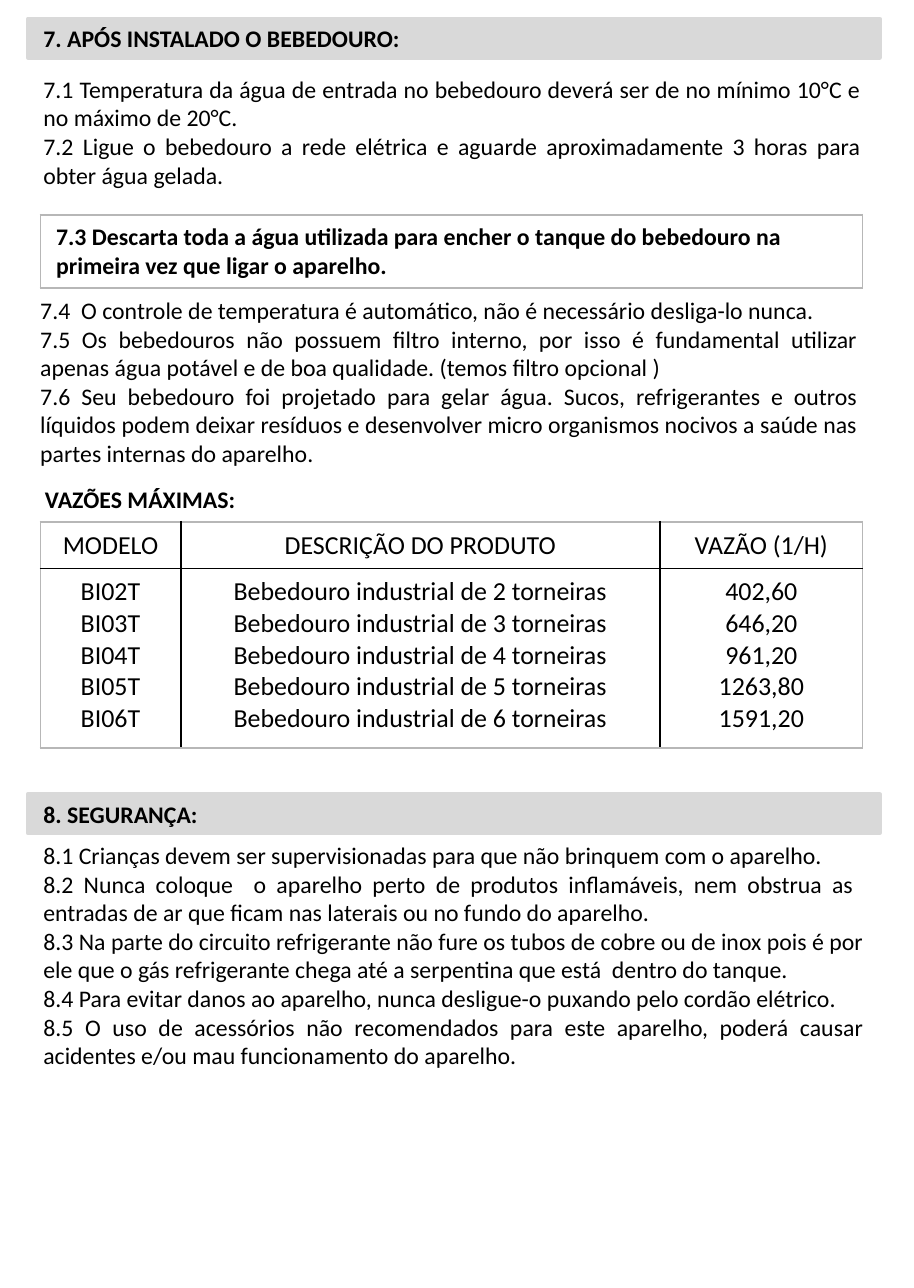
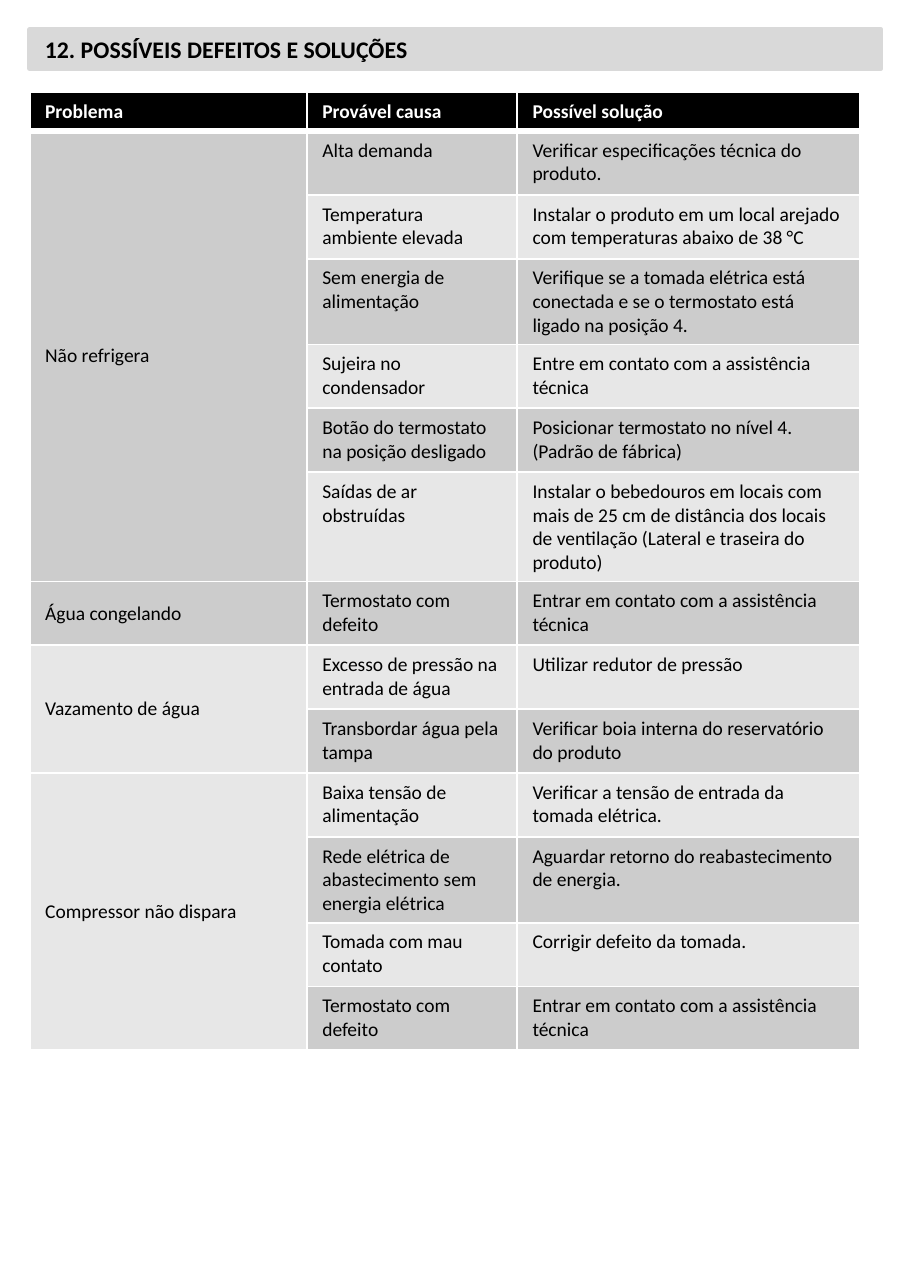
from lxml import etree
from pptx import Presentation
from pptx.dml.color import RGBColor
from pptx.enum.shapes import MSO_SHAPE
from pptx.enum.text import MSO_ANCHOR, PP_ALIGN
from pptx.oxml.ns import qn
from pptx.util import Inches, Pt

RECT = MSO_SHAPE.RECTANGLE
TOP, MIDDLE = MSO_ANCHOR.TOP, MSO_ANCHOR.MIDDLE
LEFT, CENTER, FULL = PP_ALIGN.LEFT, PP_ALIGN.CENTER, PP_ALIGN.JUSTIFY

FONT = "Calibri"
COLORS = {
    "band": "D9D9D9",
    "ink": "000000",
    "white": "FFFFFF",
    "frame": "B7B7B7",
    "dark": "CCCCCC",
    "light": "E7E7E7",
}

BANDS = [
    [
        ("7. APÓS INSTALADO O BEBEDOURO:", 0.18, 0.12),
        ("8. SEGURANÇA:", 0.18, 5.1),
    ],
    [("12. POSSÍVEIS DEFEITOS E SOLUÇÕES", 0.19, 0.19)],
]

START = [
    "7.1 Temperatura da água de entrada no bebedouro deverá ser de no mínimo 10°C e no máximo de 20°C.",
    "7.2 Ligue o bebedouro a rede elétrica e aguarde aproximadamente 3 horas para obter água gelada.",
]
NOTICE = "7.3 Descarta toda a água utilizada para encher o tanque do bebedouro na primeira vez que ligar o aparelho."
USAGE = [
    "7.4  O controle de temperatura é automático, não é necessário desliga-lo nunca.",
    "7.5 Os bebedouros não possuem filtro interno, por isso é fundamental utilizar apenas água potável e de boa qualidade. (temos filtro opcional )",
    "7.6 Seu bebedouro foi projetado para gelar água. Sucos, refrigerantes e outros líquidos podem deixar resíduos e desenvolver micro organismos nocivos a saúde nas partes internas do aparelho.",
]
SAFETY = [
    "8.1 Crianças devem ser supervisionadas para que não brinquem com o aparelho.",
    "8.2 Nunca coloque  o aparelho perto de produtos inflamáveis, nem obstrua as  entradas de ar que ficam nas laterais ou no fundo do aparelho.",
    "8.3 Na parte do circuito refrigerante não fure os tubos de cobre ou de inox pois é por ele que o gás refrigerante chega até a serpentina que está  dentro do tanque.",
    "8.4 Para evitar danos ao aparelho, nunca desligue-o puxando pelo cordão elétrico.",
    "8.5 O uso de acessórios não recomendados para este aparelho, poderá causar acidentes e/ou mau funcionamento do aparelho.",
]
PROSE = [
    (START, 0.18, 0.43, 5.45, 0.84),
    (USAGE, 0.16, 1.85, 5.45, 1.2),
    (SAFETY, 0.18, 5.35, 5.47, 1.58),
]

FLOW_TITLE = "VAZÕES MÁXIMAS:"
FLOW_HEAD = ["MODELO", "DESCRIÇÃO DO PRODUTO", "VAZÃO (1/H)"]
FLOWS = {2: "402,60", 3: "646,20", 4: "961,20", 5: "1263,80", 6: "1591,20"}

FAULT_HEAD = ["Problema", "Provável causa", "Possível solução"]
FAULTS = {
    "Não refrigera": [
        ("Alta demanda", "Verificar especificações técnica do produto."),
        ("Temperatura ambiente elevada", "Instalar o produto em um local arejado com temperaturas abaixo de 38 °C"),
        ("Sem energia de alimentação", "Verifique se a tomada elétrica está conectada e se o termostato está ligado na posição 4."),
        ("Sujeira no condensador", "Entre em contato com a assistência técnica"),
        ("Botão do termostato na posição desligado", "Posicionar termostato no nível 4. (Padrão de fábrica)"),
        ("Saídas de ar obstruídas", "Instalar o bebedouros em locais com mais de 25 cm de distância dos locais de ventilação (Lateral e traseira do produto)"),
    ],
    "Água congelando": [
        ("Termostato com defeito", "Entrar em contato com a assistência técnica"),
    ],
    "Vazamento de água": [
        ("Excesso de pressão na entrada de água", "Utilizar redutor de pressão"),
        ("Transbordar água pela tampa", "Verificar boia interna do reservatório do produto"),
    ],
    "Compressor não dispara": [
        ("Baixa tensão de alimentação", "Verificar a tensão de entrada da tomada elétrica."),
        ("Rede elétrica de abastecimento sem energia elétrica", "Aguardar retorno do reabastecimento de energia."),
        ("Tomada com mau contato", "Corrigir defeito da tomada."),
        ("Termostato com defeito", "Entrar em contato com a assistência técnica"),
    ],
}


def tint(name):
    return RGBColor.from_string(COLORS[name])


def write(frame, text, size=11, color="ink", bold=False, align=LEFT, anchor=TOP):
    frame.word_wrap = True
    frame.vertical_anchor = anchor
    lines = [text] if isinstance(text, str) else text
    for i, line in enumerate(lines):
        para = frame.add_paragraph() if i else frame.paragraphs[0]
        para.alignment = align
        run = para.add_run()
        run.text = line
        run.font.name = FONT
        run.font.size = Pt(size)
        run.font.bold = bold
        run.font.color.rgb = tint(color)


def add_text(slide, text, x, y, w, h, **style):
    box = slide.shapes.add_textbox(Inches(x), Inches(y), Inches(w), Inches(h))
    write(box.text_frame, text, **style)


def add_band(slide, text, x, y):
    band = slide.shapes.add_shape(RECT, Inches(x), Inches(y), Inches(5.47), Inches(0.25))
    band.shadow.inherit = False
    band.fill.solid()
    band.fill.fore_color.rgb = tint("band")
    band.line.color.rgb = tint("band")
    band.line.width = Pt(2)
    write(band.text_frame, text, bold=True, anchor=MIDDLE)


def add_grid(slide, x, y, cols, rows):
    size = Inches(sum(cols)), Inches(sum(rows))
    grid = slide.shapes.add_table(len(rows), len(cols), Inches(x), Inches(y), *size).table
    grid.first_row = grid.horz_banding = False
    for col, width in zip(grid.columns, cols):
        col.width = Inches(width)
    for row, height in zip(grid.rows, rows):
        row.height = Inches(height)
    return grid


def set_edge(cell, side, color, width=1):
    props = cell._tc.get_or_add_tcPr()
    line = etree.SubElement(props, qn("a:ln" + side), w=str(Pt(width)))
    fill = etree.SubElement(line, qn("a:solidFill"))
    etree.SubElement(fill, qn("a:srgbClr"), val=COLORS[color])


def rule_grid(grid, outer, inner, head=1):
    last_row, last_col = len(grid.rows) - 1, len(grid.columns) - 1
    for r in range(last_row + 1):
        for c in range(last_col + 1):
            cell = grid.cell(r, c)
            ends = {"L": c == 0, "R": c == last_col, "T": r == 0, "B": r == last_row}
            for side, end in ends.items():
                below = (r, side) in [(0, "B"), (1, "T")]
                set_edge(cell, side, outer if end else inner, head if below else 1)


def paint(cell, color):
    cell.fill.solid()
    cell.fill.fore_color.rgb = tint(color)


def add_notice(slide):
    grid = add_grid(slide, 0.26, 1.38, [5.28], [0.47])
    rule_grid(grid, "frame", "ink")
    grid.cell(0, 0).fill.background()
    write(grid.cell(0, 0).text_frame, NOTICE, bold=True)


def add_flows(slide):
    add_text(slide, FLOW_TITLE, 0.19, 3.06, 5.39, 0.29, bold=True)
    grid = add_grid(slide, 0.26, 3.35, [0.9, 3.08, 1.3], [0.3, 1.15])
    rule_grid(grid, "frame", "ink")
    body = [
        [f"BI0{n}T" for n in FLOWS],
        [f"Bebedouro industrial de {n} torneiras" for n in FLOWS],
        list(FLOWS.values()),
    ]
    for r, row in enumerate([FLOW_HEAD, body]):
        for c, text in enumerate(row):
            cell = grid.cell(r, c)
            cell.fill.background()
            write(cell.text_frame, text, size=12, align=CENTER)


def add_faults(slide):
    count = sum(len(pairs) for pairs in FAULTS.values())
    grid = add_grid(slide, 0.19, 0.59, [1.78, 1.35, 2.2], [0.24] + [0.41] * count)
    rule_grid(grid, "white", "white", head=3)
    for c, text in enumerate(FAULT_HEAD):
        paint(grid.cell(0, c), "ink")
        write(grid.cell(0, c).text_frame, text, size=9, color="white", bold=True)
    r = 1
    for fault, pairs in FAULTS.items():
        first = grid.cell(r, 0)
        if len(pairs) > 1:
            first.merge(grid.cell(r + len(pairs) - 1, 0))
        paint(first, "dark" if r % 2 else "light")
        write(first.text_frame, fault, size=9)
        first.vertical_anchor = MIDDLE
        for pair in pairs:
            for c, text in enumerate(pair, 1):
                paint(grid.cell(r, c), "dark" if r % 2 else "light")
                write(grid.cell(r, c).text_frame, text, size=9)
            r += 1


def main():
    deck = Presentation()
    deck.slide_width, deck.slide_height = Inches(5.87), Inches(8.27)
    blank = deck.slide_layouts[6]
    guide, repair = [deck.slides.add_slide(blank) for _ in BANDS]
    for slide, bands in zip((guide, repair), BANDS):
        for band in bands:
            add_band(slide, *band)
    for block in PROSE:
        add_text(guide, *block, align=FULL)
    add_notice(guide)
    add_flows(guide)
    add_faults(repair)
    deck.save("out.pptx")


if __name__ == "__main__":
    main()
